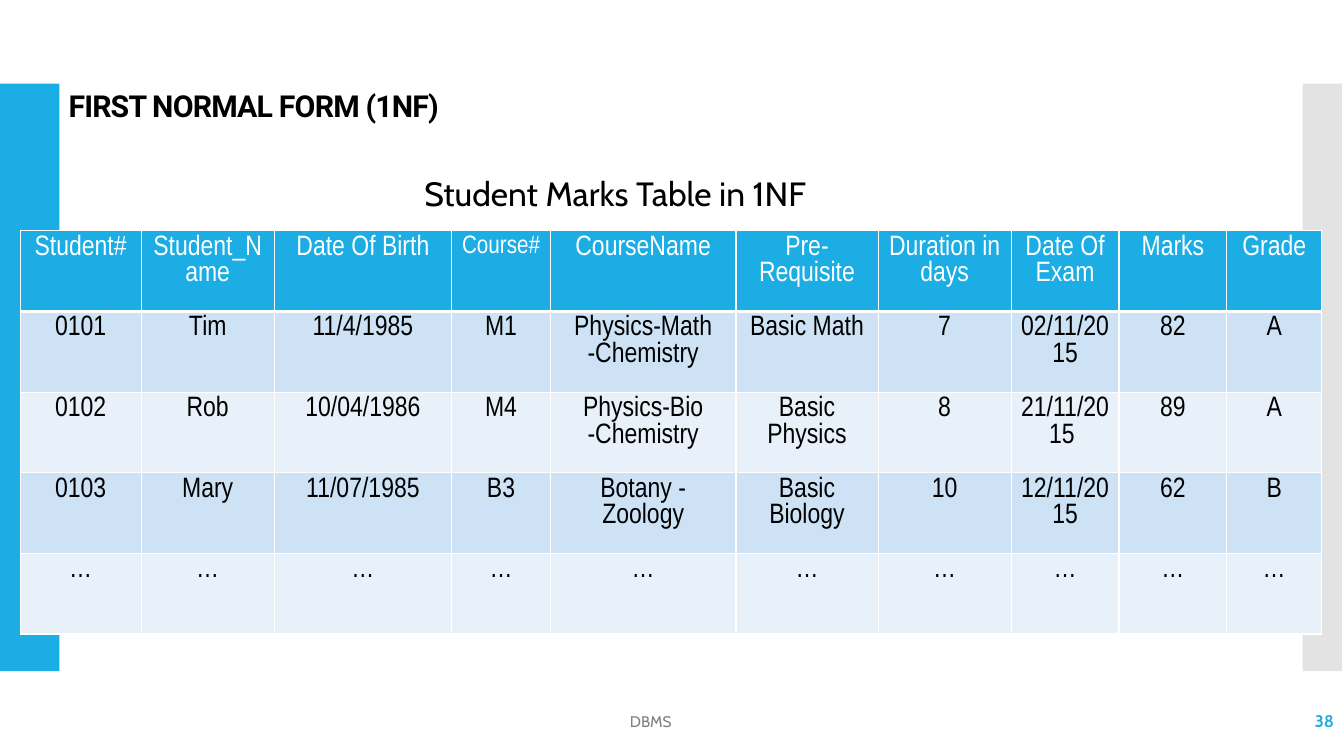
from dataclasses import dataclass

from lxml.etree import SubElement
from pptx import Presentation
from pptx.dml.color import RGBColor as Rgb
from pptx.enum.shapes import MSO_SHAPE as Shape
from pptx.enum.text import MSO_ANCHOR as Anchor, MSO_AUTO_SIZE as AutoSize, PP_ALIGN as Align
from pptx.oxml import parse_xml
from pptx.oxml.ns import nsdecls, qn
from pptx.util import Pt

EMU_PER_PX = 9144


@dataclass(frozen=True)
class Theme:
    accent: str = "1CADE4"
    side: str = "C8C8C8"
    dark_band: str = "CDE3F5"
    light_band: str = "E8F1FA"
    white: str = "FFFFFF"
    black: str = "000000"
    muted: str = "808080"
    heading_font: str = "Roboto"
    body_font: str = "Cabin"
    table_font: str = "Arial Narrow"
    heading_size: float = 21.6
    caption_size: int = 24
    table_size: int = 20
    small_table_size: int = 18
    number_size: int = 12
    footer_size: int = 11


THEME = Theme()
COLUMN_WIDTHS = [120, 132, 176, 98, 184, 141, 132, 107, 107, 94]
ROW_HEIGHT = 80
MARKS = [
    ["Student#", "Student_Name", "Date Of Birth", "Course#", "CourseName",
     "Pre-\nRequisite", "Duration in days", "Date Of Exam", "Marks", "Grade"],
    ["0101", "Tim", "11/4/1985", "M1", "Physics-Math -Chemistry",
     "Basic Math", "7", "02/11/2015", "82", "A"],
    ["0102", "Rob", "10/04/1986", "M4", "Physics-Bio -Chemistry",
     "Basic Physics", "8", "21/11/2015 ", "89", "A"],
    ["0103", "Mary", "11/07/1985", "B3", "Botany -\nZoology",
     "Basic Biology", "10", "12/11/2015", "62", "B"],
    ["…"] * len(COLUMN_WIDTHS),
]


def px(length):
    return length * EMU_PER_PX


def style(para, font, size, color, bold=False, align=Align.LEFT):
    para.alignment = align
    para.font.name = font
    para.font.size = Pt(size)
    para.font.bold = bold
    para.font.color.rgb = Rgb.from_string(color)


def add_bar(page, left, top, width, height, color, opacity=100):
    bar = page.shapes.add_shape(Shape.RECTANGLE, px(left), px(top), px(width), px(height))
    bar.shadow.inherit = False
    bar.line.fill.background()
    bar.fill.solid()
    bar.fill.fore_color.rgb = Rgb.from_string(color)
    if opacity < 100:
        tint = bar.fill._xPr.find(".//" + qn("a:srgbClr"))
        SubElement(tint, qn("a:alpha")).set("val", str(opacity * 1000))


def add_text(page, left, top, width, height, text, size, color,
             bold=False, align=Align.LEFT, anchor=Anchor.MIDDLE):
    box = page.shapes.add_textbox(px(left), px(top), px(width), px(height))
    frame = box.text_frame
    frame.word_wrap = True
    frame.vertical_anchor = anchor
    frame.text = text
    style(frame.paragraphs[0], THEME.body_font, size, color, bold, align)
    return box


def set_title(page, left, top, width, height, text):
    title = page.shapes.title
    title.left, title.top, title.width, title.height = map(px, (left, top, width, height))
    frame = title.text_frame
    frame.text = text
    frame.auto_size = AutoSize.NONE
    frame.vertical_anchor = Anchor.TOP
    para = frame.paragraphs[0]
    para.line_spacing = 0.9
    style(para, THEME.heading_font, THEME.heading_size, THEME.black, bold=True)
    para.runs[0]._r.get_or_add_rPr().set("spc", "-60")


def set_borders(cell, top, bottom):
    properties = cell._tc.get_or_add_tcPr()
    widths = {"lnL": 1, "lnR": 1, "lnT": top, "lnB": bottom}
    for position, (side, width) in enumerate(widths.items()):
        properties.insert(position, parse_xml(
            f'<a:{side} {nsdecls("a")} w="{Pt(width)}"><a:solidFill>'
            f'<a:srgbClr val="{THEME.white}"/></a:solidFill></a:{side}>'))


def fill_cell(cell, text, size, color, background):
    cell.margin_left = cell.margin_right = px(9)
    cell.margin_top = cell.margin_bottom = px(4)
    cell.fill.solid()
    cell.fill.fore_color.rgb = Rgb.from_string(background)
    cell.text = text
    for para in cell.text_frame.paragraphs:
        style(para, THEME.table_font, size, color, align=Align.CENTER)


def add_marks_table(page, left, top):
    table = page.shapes.add_table(
        len(MARKS), len(COLUMN_WIDTHS), px(left), px(top),
        px(sum(COLUMN_WIDTHS)), px(ROW_HEIGHT * len(MARKS))).table
    for column, width in zip(table.columns, COLUMN_WIDTHS):
        column.width = px(width)
    bands = [THEME.light_band, THEME.dark_band]
    for row, values in enumerate(MARKS):
        table.rows[row].height = px(ROW_HEIGHT)
        header = row == 0
        color = THEME.white if header else THEME.black
        background = THEME.accent if header else bands[row % 2]
        for column, text in enumerate(values):
            cell = table.cell(row, column)
            size = THEME.small_table_size if text == "Course#" else THEME.table_size
            fill_cell(cell, text, size, color, background)
            set_borders(cell, top=3 if row == 1 else 1, bottom=3 if header else 1)


def main():
    deck = Presentation()
    deck.slide_width, deck.slide_height = px(1333), px(750)
    page = deck.slides.add_slide(deck.slide_layouts.get_by_name("Title Only"))
    add_bar(page, 0, 83, 59, 583, THEME.accent)
    add_bar(page, 1292, 83, 39, 583, THEME.side, opacity=50)
    add_marks_table(page, 20, 229)
    caption = add_text(page, 411, 167, 457, 50, "Student Marks Table in 1NF",
                       THEME.caption_size, THEME.black, anchor=Anchor.TOP)
    caption.text_frame.auto_size = AutoSize.SHAPE_TO_FIT_TEXT
    set_title(page, 58, 86, 1044, 40, "FIRST NORMAL FORM (1NF)")
    add_text(page, 1166, 695, 167, 40, "38", THEME.number_size, THEME.accent,
             bold=True, align=Align.RIGHT)
    add_text(page, 329, 696, 633, 39, "DBMS", THEME.footer_size, THEME.muted,
             align=Align.CENTER)
    deck.save("out.pptx")


if __name__ == "__main__":
    main()
